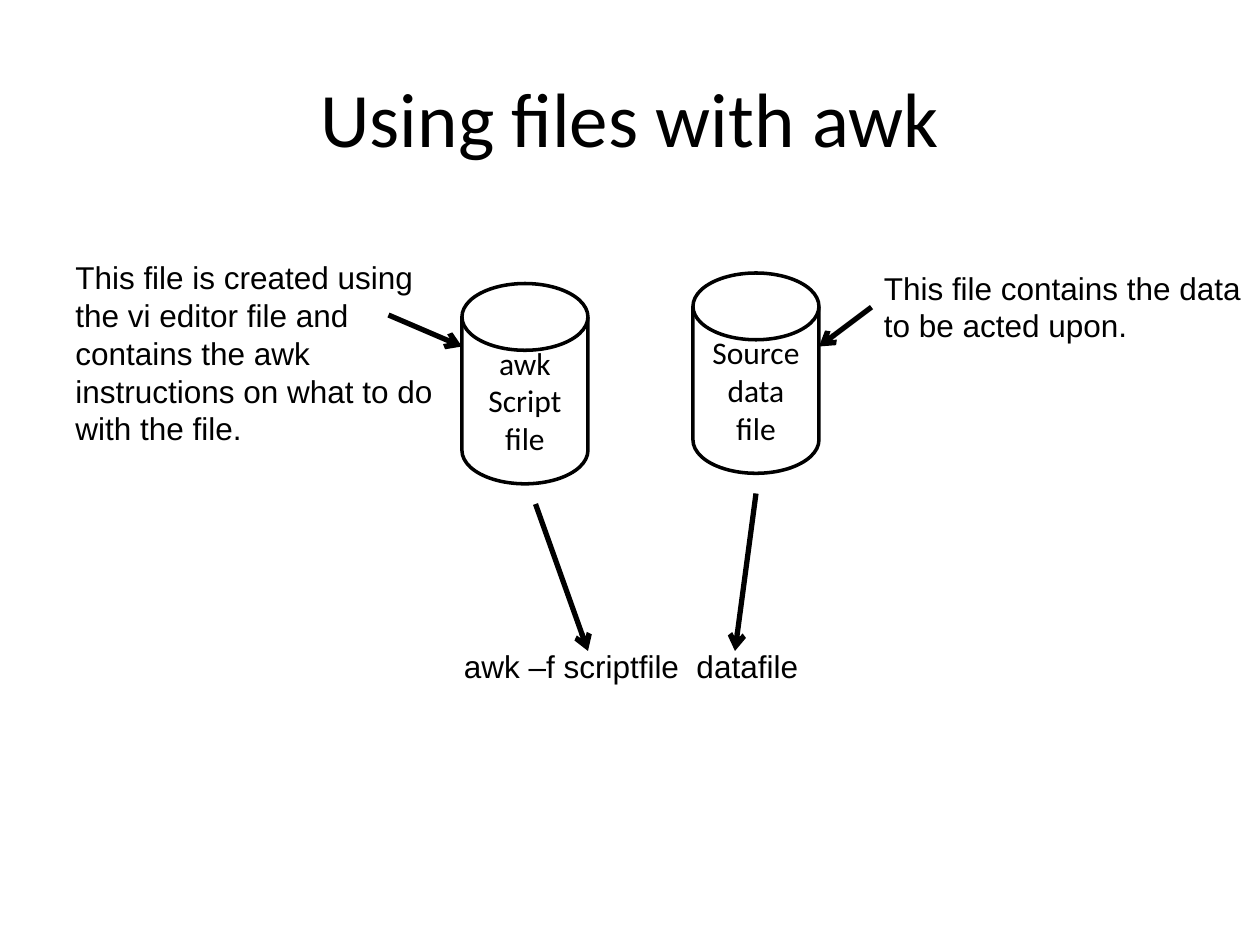
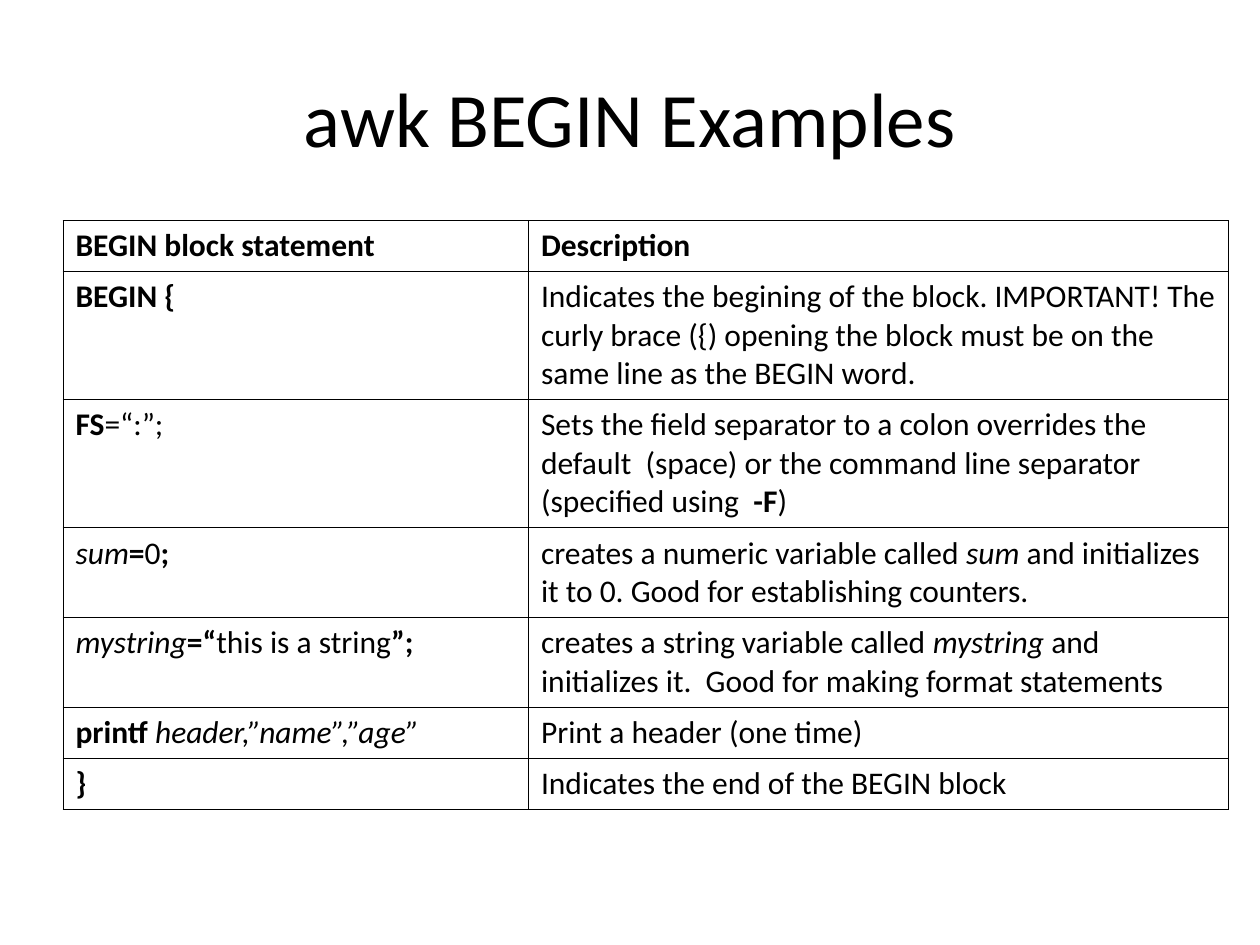
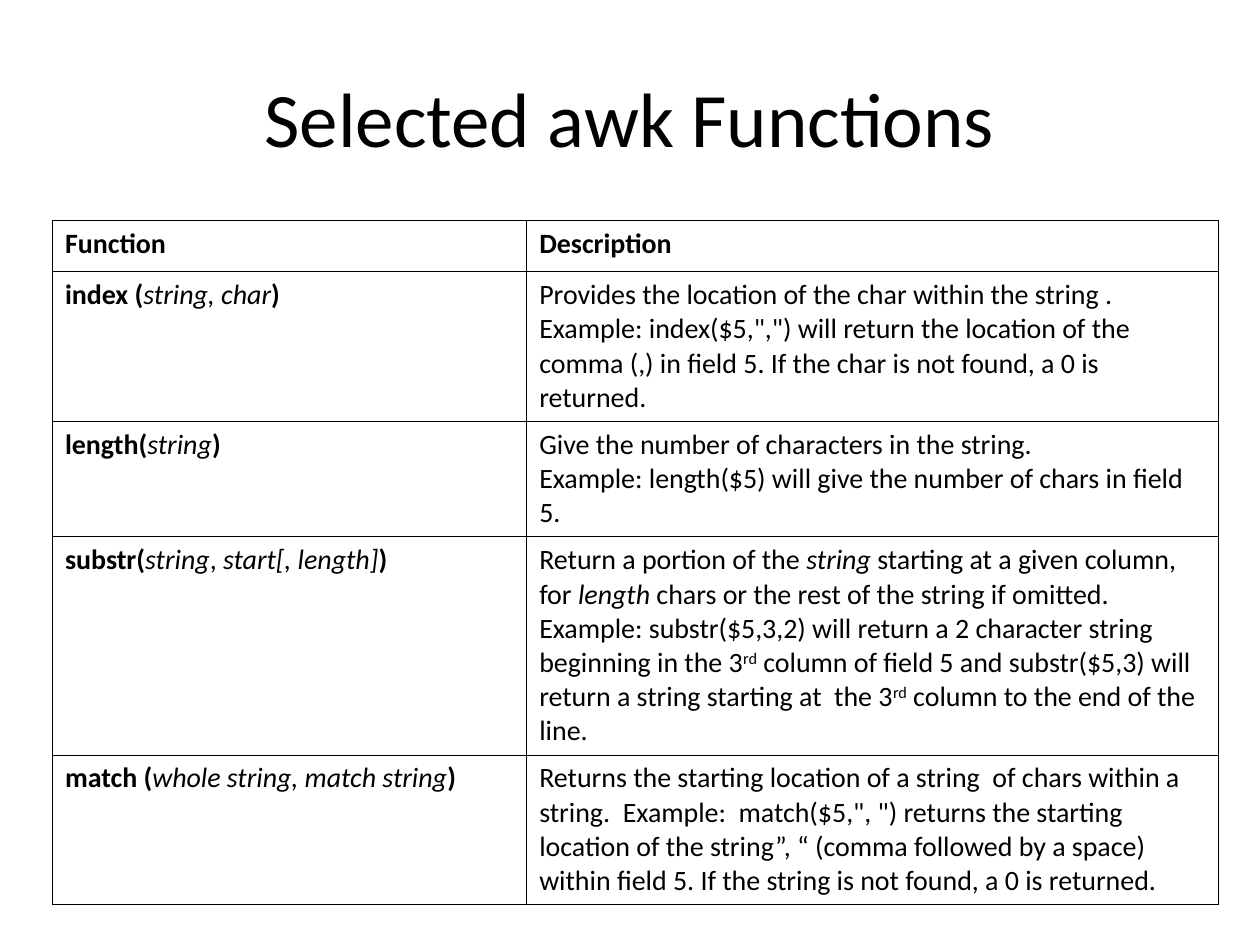
import lxml.etree
import pptx
import pptx.dml.color
import pptx.enum.shapes
import pptx.enum.text
import pptx.oxml.ns
import pptx.util

Pt = pptx.util.Pt
qn = pptx.oxml.ns.qn
CENTER = pptx.enum.text.PP_ALIGN.CENTER
LEFT = pptx.enum.text.PP_ALIGN.LEFT
MIDDLE = pptx.enum.text.MSO_ANCHOR.MIDDLE

COLORS = {"ink": "000000"}
BODY_FONT = "Calibri"
NOTE_FONT = "Arial"
TITLE_BOX = (36, 21.6, 648, 90)
DIAGRAM_BOX = (36, 144, 684, 251)


def color(name):
    return pptx.dml.color.RGBColor.from_string(COLORS[name])


# Text: a span is plain text or (text, marks), with marks b, i and ^ (superscript)
def write(frame, paragraphs, size, font=BODY_FONT, align=LEFT):
    frame.word_wrap = True
    for index, spans in enumerate(paragraphs):
        para = frame.add_paragraph() if index else frame.paragraphs[0]
        para.alignment = align
        for item in spans:
            text, marks = (item, "") if isinstance(item, str) else item
            span = para.add_run()
            span.text = text
            span.font.name = font
            span.font.size = Pt(size)
            span.font.bold = "b" in marks
            span.font.italic = "i" in marks
            span.font.color.rgb = color("ink")
            if "^" in marks:
                span.font._element.set("baseline", "30000")


def add_page(deck, title):
    page = deck.slides.add_slide(deck.slide_layouts[6])
    box = page.shapes.add_textbox(*map(Pt, TITLE_BOX))
    box.text_frame.vertical_anchor = MIDDLE
    write(box.text_frame, [[title]], 44, align=CENTER)
    return page


# Diagram parts
def add_cylinder(page, left, top, lines):
    disk = page.shapes.add_shape(
        pptx.enum.shapes.MSO_SHAPE.FLOWCHART_MAGNETIC_DISK,
        Pt(left), Pt(top), Pt(72), Pt(114.5))
    disk.shadow.inherit = False
    disk.fill.background()
    disk.line.color.rgb = color("ink")
    disk.line.width = Pt(2)
    disk.text_frame.vertical_anchor = MIDDLE
    write(disk.text_frame, [[line] for line in lines], 18, align=CENTER)


def add_note(page, left, top, height, text):
    box = page.shapes.add_textbox(Pt(left), Pt(top), Pt(222), Pt(height))
    write(box.text_frame, [[text]], 18, NOTE_FONT)


def add_arrow(page, *ends):
    arrow = page.shapes.add_connector(
        pptx.enum.shapes.MSO_CONNECTOR.STRAIGHT, *map(Pt, ends))
    arrow.line.color.rgb = color("ink")
    arrow.line.width = Pt(3)
    lxml.etree.SubElement(arrow.line._get_or_add_ln(), qn("a:tailEnd"), type="arrow")
    lxml.etree.SubElement(arrow._element.spPr, qn("a:effectLst"))


def add_file_diagram(page, box):
    left, top = box[:2]
    cylinders = [
        (228, 18, ["awk", "Script file"]),
        (360, 12, ["Source data file"]),
    ]
    notes = [
        (0, 0, 115, "This file is created using the vi editor file and contains "
                    "the awk instructions on what to do with the file."),
        (222, 222, 29, "awk –f scriptfile  datafile"),
        (462, 6, 50, "This file contains the data to be acted upon."),
    ]
    arrows = [
        (186, 36, 228, 54),
        (462, 31.5, 432, 54),
        (270, 144, 300, 228),
        (396, 138, 384, 228),
    ]
    for x, y, lines in cylinders:
        add_cylinder(page, left + x, top + y, lines)
    for x, y, height, text in notes:
        add_note(page, left + x, top + y, height, text)
    for x1, y1, x2, y2 in arrows:
        add_arrow(page, left + x1, top + y1, left + x2, top + y2)


# Ruled tables
def set_borders(cell):
    properties = cell._tc.get_or_add_tcPr()
    for side in ("a:lnL", "a:lnR", "a:lnT", "a:lnB"):
        line = lxml.etree.SubElement(properties, qn(side), w=str(int(Pt(0.45))))
        fill = lxml.etree.SubElement(line, qn("a:solidFill"))
        lxml.etree.SubElement(fill, qn("a:srgbClr"), val=COLORS["ink"])


def add_ruled_table(page, box, first_width, heights, rows, size):
    left, top, width = box
    table = page.shapes.add_table(
        len(rows), 2, Pt(left), Pt(top), Pt(width), Pt(sum(heights))).table
    table.first_row = table.horz_banding = False
    for column, column_width in zip(table.columns, (first_width, width - first_width)):
        column.width = Pt(column_width)
    for row, height, contents in zip(table.rows, heights, rows):
        row.height = Pt(height)
        for cell, paragraphs in zip(row.cells, contents):
            set_borders(cell)
            cell.fill.background()
            write(cell.text_frame, paragraphs, size)


# Each row holds two cells, each cell a list of paragraphs
BEGIN_ROWS = [
    ([[("BEGIN block statement", "b")]], [[("Description", "b")]]),
    ([[("BEGIN {", "b")]],
     [["Indicates the begining of the block. IMPORTANT! The curly brace ({) "
       "opening the block must be on the same line as the BEGIN word."]]),
    ([[("FS", "b"), "=“:”;"]],
     [["Sets the field separator to a colon overrides the default  (space) or "
       "the command line separator (specified using  ", ("-F", "b"), ")"]]),
    ([[("sum", "i"), ("=", "b"), "0", (";", "b")]],
     [["creates a numeric variable called ", ("sum", "i"),
       " and initializes it to 0. Good for establishing counters."]]),
    ([[("mystring", "i"), ("=“", "b"), "this is a string", ("”;", "b")]],
     [["creates a string variable called ", ("mystring", "i"),
       " and initializes it.  Good for making format statements"]]),
    ([[("printf ", "b"), ("header,”name”,”age”", "i")]],
     [["Print a header (one time)"]]),
    ([[("}", "b")]], [["Indicates the end of the BEGIN block"]]),
]

FUNCTION_ROWS = [
    ([[("Function", "b")]], [[("Description", "b")]]),
    ([[("index (", "b"), ("string, char", "i"), (")", "b")]],
     [["Provides the location of the char within the string . Example: "
       "index($5,\",\") will return the location of the comma (,) in field 5. "
       "If the char is not found, a 0 is returned."]]),
    ([[("length(", "b"), ("string", "i"), (")", "b")]],
     [["Give the number of characters in the string."],
      ["Example: length($5) will give the number of chars in field 5."]]),
    ([[("substr(", "b"), ("string", "i"), ", ", ("start[, length]", "i"), (")", "b")]],
     [["Return a portion of the ", ("string", "i"),
       " starting at a given column, for ", ("length", "i"),
       " chars or the rest of the string if omitted. Example: substr($5,3,2) "
       "will return a 2 character string beginning in the 3", ("rd", "^"),
       " column of field 5 and substr($5,3) will return a string starting at  "
       "the 3", ("rd", "^"), " column to the end of the line."]]),
    ([[("match (", "b"), ("whole string, match string", "i"), (")", "b")]],
     [["Returns the starting location of a string  of chars within a string.  "
       "Example:  match($5,\", \") returns the starting location of the "
       "string”, “ (comma followed by a space) within field 5. If the string "
       "is not found, a 0 is returned."]]),
]


def main():
    deck = pptx.Presentation()
    deck.slide_width, deck.slide_height = Pt(720), Pt(540)

    add_file_diagram(add_page(deck, "Using files with awk"), DIAGRAM_BOX)
    add_ruled_table(add_page(deck, "awk BEGIN Examples"), (36, 126, 666), 266,
                    [29.2, 73.2, 73.2, 51.2, 51.2, 29.2, 29.2], BEGIN_ROWS, 18)
    add_ruled_table(add_page(deck, "Selected awk Functions"), (30, 126, 666), 271,
                    [29.2, 85.6, 66, 124.6, 85.6], FUNCTION_ROWS, 16)

    deck.save("out.pptx")


if __name__ == "__main__":
    main()
